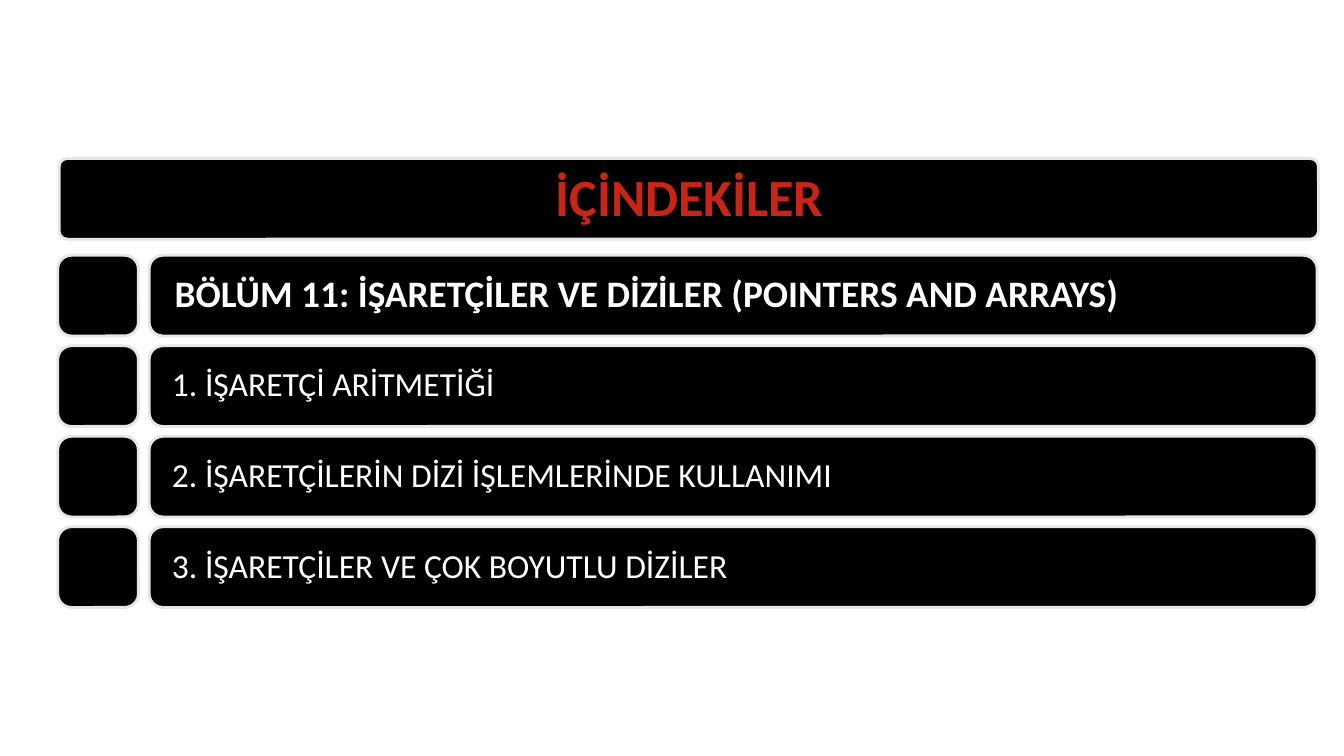
from pptx import Presentation
from pptx.dml.color import RGBColor
from pptx.enum.shapes import MSO_SHAPE
from pptx.enum.text import MSO_ANCHOR, MSO_AUTO_SIZE, PP_ALIGN
from pptx.util import Inches, Pt

ROUNDED = MSO_SHAPE.ROUNDED_RECTANGLE
MIDDLE = MSO_ANCHOR.MIDDLE
NO_AUTOFIT = MSO_AUTO_SIZE.NONE
LEFT, CENTER = PP_ALIGN.LEFT, PP_ALIGN.CENTER

ROW_HEIGHT = 0.6
FIRST_TOP, LAST_TOP = 1.9, 3.92


def add_bar(left, top, width, corner):
    bar = slide.shapes.add_shape(
        ROUNDED, Inches(left), Inches(top), Inches(width), Inches(ROW_HEIGHT))
    bar.adjustments[0] = corner
    bar.shadow.inherit = False
    bar.fill.solid()
    bar.fill.fore_color.rgb = RGBColor.from_string("000000")
    bar.line.color.rgb = RGBColor.from_string("E7E6E6")
    bar.line.width = Pt(1.5)
    return bar


def write_text(holder, text, size, bold, color, align, inset):
    frame = holder.text_frame
    frame.word_wrap = True
    frame.auto_size = NO_AUTOFIT
    frame.vertical_anchor = MIDDLE
    frame.margin_left = frame.margin_right = Inches(inset)
    frame.margin_top = frame.margin_bottom = Inches(0.04)
    paragraph = frame.paragraphs[0]
    paragraph.alignment = align
    paragraph.line_spacing = 0.9
    run = paragraph.add_run()
    run.text = text
    run.font.name = "Calibri"
    run.font.size = Pt(size)
    run.font.bold = bold
    run.font.color.rgb = RGBColor.from_string(color)


prs = Presentation()
prs.slide_width = Inches(10)
prs.slide_height = prs.slide_width * 9 // 16
slide = prs.slides.add_slide(prs.slide_layouts[5])

add_bar(0.44, 1.18, 9.37, 0.1)
heading = slide.shapes.title
heading.left, heading.top = Inches(0.46), Inches(1.2)
heading.width, heading.height = Inches(9.34), Inches(0.57)
write_text(heading, "İÇİNDEKİLER", 28, True, "C82517", CENTER, 0.06)
slide.shapes._spTree.append(heading._element)

contents = [
    ("BÖLÜM 11: İŞARETÇİLER VE DİZİLER (POINTERS AND ARRAYS)", 20, True, 0.16),
    ("1. İŞARETÇİ ARİTMETİĞİ", 18, False, 0.14),
    ("2. İŞARETÇİLERİN DİZİ İŞLEMLERİNDE KULLANIMI", 18, False, 0.14),
    ("3. İŞARETÇİLER VE ÇOK BOYUTLU DİZİLER", 18, False, 0.14),
]
row_pitch = (LAST_TOP - FIRST_TOP) / (len(contents) - 1)
for row, (topic, size, bold, inset) in enumerate(contents):
    top = FIRST_TOP + row * row_pitch
    add_bar(0.43, top, ROW_HEIGHT, 0.17)
    topic_bar = add_bar(1.11, top, 8.69, 0.17)
    write_text(topic_bar, topic, size, bold, "FFFFFF", LEFT, inset)

prs.save("out.pptx")
